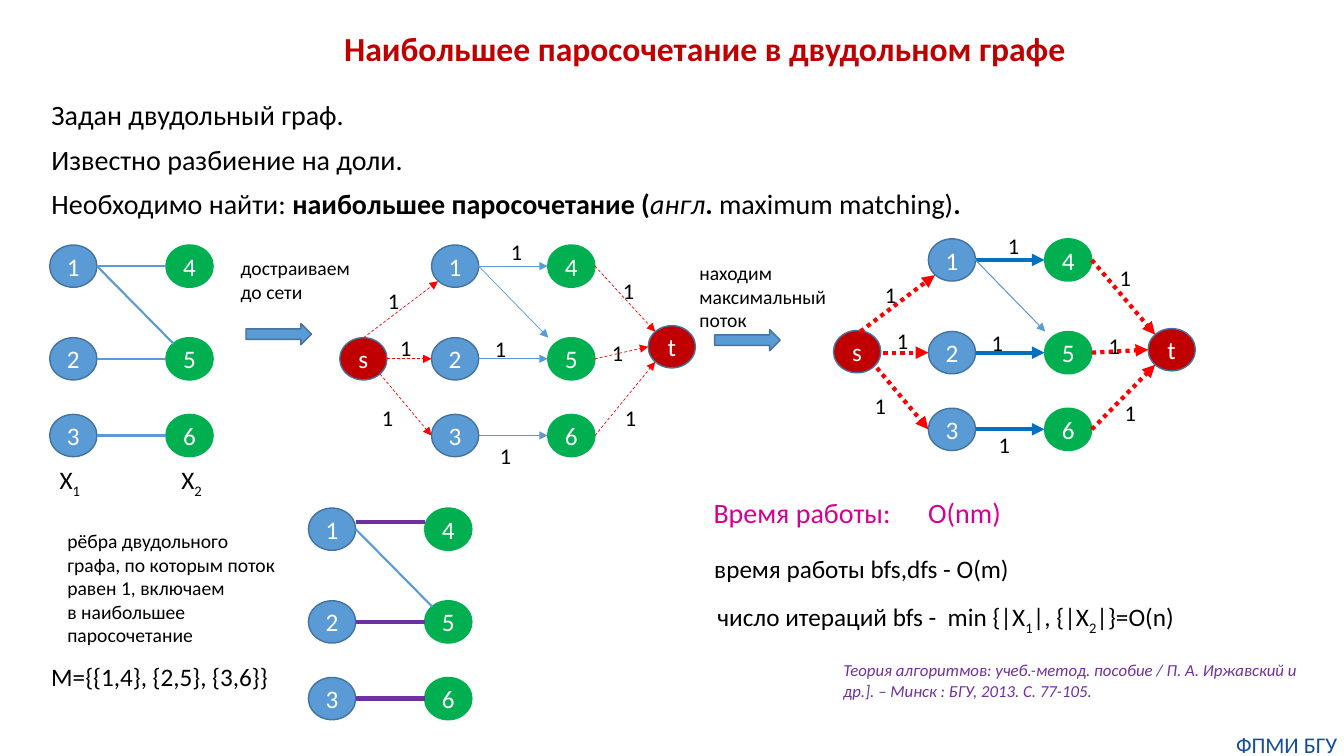
import pptx
import pptx.util
import pptx.dml.color
import pptx.enum.dml
import pptx.enum.shapes
import pptx.enum.text
import pptx.oxml
import pptx.oxml.ns

Pt = pptx.util.Pt
RGBColor = pptx.dml.color.RGBColor
Shape = pptx.enum.shapes.MSO_SHAPE
Dash = pptx.enum.dml.MSO_LINE
Align = pptx.enum.text.PP_ALIGN
Anchor = pptx.enum.text.MSO_ANCHOR
AutoSize = pptx.enum.text.MSO_AUTO_SIZE

BLACK = RGBColor(0x00, 0x00, 0x00)
WHITE = RGBColor(0xFF, 0xFF, 0xFF)
BLUE = RGBColor(0x5B, 0x9B, 0xD5)
OUTLINE = RGBColor(0x43, 0x73, 0x9E)
GREEN = RGBColor(0x00, 0xB0, 0x50)
DARK_RED = RGBColor(0xC0, 0x00, 0x00)
RED = RGBColor(0xFF, 0x00, 0x00)
FLOW_BLUE = RGBColor(0x00, 0x70, 0xC0)
PURPLE = RGBColor(0x70, 0x30, 0xA0)
PINK = RGBColor(0xD6, 0x00, 0x93)
NAVY = RGBColor(0x14, 0x4E, 0x9D)

NODE_WIDTH, NODE_HEIGHT = 33.8, 30.2
RIGHT_COLUMN = 83
ROWS = (0, 66.2, 121)
MIDDLE = NODE_HEIGHT / 2


def write(frame, text, size=18, color=BLACK, bold=False, italic=False,
          align=None, line_spacing=None, space_before=None):
    paragraphs = text
    if isinstance(text, str):
        paragraphs = [[(line, {})] for line in text.split("\n")]
    for number, spans in enumerate(paragraphs):
        para = frame.add_paragraph() if number else frame.paragraphs[0]
        para.alignment = align
        para.line_spacing = line_spacing
        para.space_before = None if space_before is None else Pt(space_before)
        for words, changes in spans:
            span = para.add_run()
            span.text = words
            span.font.name = "Calibri"
            span.font.size = Pt(size)
            span.font.color.rgb = color
            span.font.bold = changes.get("bold", bold)
            span.font.italic = changes.get("italic", italic)
            if changes.get("subscript"):
                span._r.get_or_add_rPr().set("baseline", "-25000")


class Slide:
    def __init__(self, page):
        self.page = page
        self.target = page.shapes

    def start_group(self):
        self.target = self.page.shapes.add_group_shape().shapes

    def end_group(self):
        self.target = self.page.shapes

    def placeholder(self, index, left, top, width, height, text, **style):
        box = self.page.placeholders[index]
        box.left, box.top, box.width, box.height = map(Pt, (left, top, width, height))
        box.text_frame.auto_size = AutoSize.NONE
        write(box.text_frame, text, line_spacing=0.9, **style)
        return box

    def text(self, left, top, width, height, text, wrap=False, inset=True, **style):
        box = self.target.add_textbox(Pt(left), Pt(top), Pt(width), Pt(height))
        frame = box.text_frame
        frame.word_wrap = wrap
        frame.auto_size = AutoSize.SHAPE_TO_FIT_TEXT
        if not inset:
            frame.margin_left = frame.margin_right = Pt(0)
            frame.margin_top = frame.margin_bottom = Pt(0)
        write(frame, text, **style)

    def shape(self, kind, left, top, width, height, fill, outline):
        shape = self.target.add_shape(kind, Pt(left), Pt(top), Pt(width), Pt(height))
        shape.shadow.inherit = False
        shape.fill.solid()
        shape.fill.fore_color.rgb = fill
        shape.line.color.rgb = outline
        shape.line.width = Pt(1)
        return shape

    def block_arrow(self, left, top):
        self.shape(Shape.RIGHT_ARROW, left, top, 46.8, 15.1, BLUE, OUTLINE)

    def node(self, left, top, name, fill=BLUE, outline=OUTLINE):
        circle = self.shape(Shape.OVAL, left, top, NODE_WIDTH, NODE_HEIGHT, fill, outline)
        circle.text_frame.vertical_anchor = Anchor.MIDDLE
        write(circle.text_frame, name, color=WHITE, align=Align.CENTER)

    def line(self, origin, start, end, color, width, dash=None, arrow=False):
        x, y = origin
        line = self.target.add_connector(
            pptx.enum.shapes.MSO_CONNECTOR.STRAIGHT,
            Pt(x + start[0]), Pt(y + start[1]), Pt(x + end[0]), Pt(y + end[1]))
        line.line.color.rgb = color
        line.line.width = Pt(width)
        if dash:
            line.line.dash_style = dash
        properties = line._element.spPr
        if arrow:
            tail = pptx.oxml.parse_xml(
                f'<a:tailEnd {pptx.oxml.ns.nsdecls("a")} type="triangle"/>')
            line.line._get_or_add_ln().append(tail)
        properties.append(pptx.oxml.parse_xml(
            f'<a:effectLst {pptx.oxml.ns.nsdecls("a")}/>'))

    def vertices(self, origin):
        x, y = origin
        for row, offset in enumerate(ROWS):
            self.node(x, y + offset, str(row + 1))
            self.node(x + RIGHT_COLUMN, y + offset, str(row + 4), GREEN, GREEN)

    def bipartite(self, origin, color, width, first_edge=MIDDLE):
        self.vertices(origin)
        self.line(origin, (NODE_WIDTH, MIDDLE), (88.6, 70.6), BLUE, 1.5)
        for y in (first_edge, ROWS[1] + MIDDLE, ROWS[2] + MIDDLE):
            self.line(origin, (NODE_WIDTH, y), (RIGHT_COLUMN, y), color, width)

    def network(self, origin, source, sink, labels, outer, inner, diagonal):
        x, y = origin
        self.vertices(origin)
        for name, (dx, dy) in (("s", source), ("t", sink)):
            self.node(x + dx, y + dy, name, DARK_RED)
        levels = [row + MIDDLE for row in ROWS]
        starts = ((-48.5, 66.2), (-32, levels[1]), (-36.7, 92.2))
        ends = ((4.7, 25.9), (0, levels[1]), (0, levels[2]))
        entries = ((5, 4.3), (0, MIDDLE), (5, 25.9))
        for level, start, end, (dx, dy) in zip(levels, starts, ends, entries):
            self.line(origin, start, end, arrow=True, **outer)
            self.line(origin, (RIGHT_COLUMN + NODE_WIDTH, level),
                      (sink[0] + dx, sink[1] + dy), arrow=True, **outer)
            self.line(origin, (NODE_WIDTH, level), (RIGHT_COLUMN, level),
                      arrow=True, **inner)
        self.line(origin, (29.5, 10.8), (83.5, 66.2), BLUE, diagonal, arrow=True)
        shared = [(49.7, -8.6), (-29.5, 59.8), (38.2, 61.2), (121.7, 63.4), (-38.2, 26.6)]
        for dx, dy in shared + labels:
            self.text(x + dx, y + dy, 23, 26.6, "1", size=16)


def main():
    deck = pptx.Presentation()
    deck.slide_width, deck.slide_height = Pt(960), Pt(540)
    slide = Slide(deck.slides.add_slide(deck.slide_layouts[1]))

    title = slide.placeholder(0, 77, 6.5, 853, 59, "Наибольшее паросочетание в двудольном графе",
                              size=24, color=DARK_RED, bold=True, align=Align.CENTER)
    title.text_frame.vertical_anchor = Anchor.MIDDLE
    task = [
        [("Задан двудольный граф.", {})],
        [("Известно разбиение на доли.", {})],
        [("Необходимо найти: ", {}), ("наибольшее паросочетание (", {"bold": True}),
         ("англ", {"italic": True}), (". ", {"bold": True}),
         ("maximum matching)", {}), (".", {"bold": True})],
    ]
    body = slide.placeholder(1, 29.5, 69, 681, 89.3, task, size=20, space_before=10)
    for para in body.text_frame.paragraphs:
        properties = para._p.get_or_add_pPr()
        properties.set("marL", "0")
        properties.set("indent", "0")
        properties.append(pptx.oxml.parse_xml(
            f'<a:buNone {pptx.oxml.ns.nsdecls("a")}/>'))

    slide.block_arrow(175.7, 231.1)
    slide.start_group()
    slide.network((308.2, 175), (-65.5, 66.2), (154.8, 57.6),
                  [(129.6, 19.4), (-42.5, 110.2), (41.8, 137.5), (131, 110.2)],
                  dict(color=RED, width=0.5, dash=Dash.DASH),
                  dict(color=BLUE, width=0.5), 0.5)
    slide.end_group()
    slide.block_arrow(510.5, 235.4)
    slide.start_group()
    slide.network((663.1, 170.6), (-67.7, 65.5), (157, 64.1),
                  [(129.6, 14.4), (-45.4, 105.8), (43.2, 133.9), (133.2, 110.9)],
                  dict(color=RED, width=3, dash=Dash.ROUND_DOT),
                  dict(color=FLOW_BLUE, width=3), 0.75)
    slide.start_group()
    slide.bipartite((220.3, 362.9), PURPLE, 3, first_edge=10)
    slide.start_group()
    slide.bipartite((35.5, 175), BLUE, 1.5)
    for left, number in ((35.5, "1"), (122.4, "2")):
        slide.text(left, 328.3, 30.2, 29, [[("X", {}), (number, {"subscript": True})]])
    slide.end_group()

    slide.text(29.5, 468.7, 177, 29, "M={{1,4}, {2,5}, {3,6}}")
    iterations = [[("число итераций bfs -  min {|X", {}), ("1", {"subscript": True}),
                   ("|, {|X", {}), ("2", {"subscript": True}), ("|}=О(n)", {})]]
    slide.text(505.4, 426.2, 343.4, 29, iterations)
    slide.text(502.6, 350.6, 151.2, 31.7, "Время работы:", wrap=True, size=20, color=PINK)
    slide.text(499, 391.7, 231.8, 29, " время работы bfs,dfs - О(m)")
    slide.text(655.9, 350.6, 68.4, 31.7, "О(nm)", size=20, color=PINK)
    slide.text(595.4, 468, 350, 36,
               "Теория алгоритмов: учеб.-метод. пособие / П. А. Иржавский и др.]. "
               "– Минск : БГУ, 2013. С. 77-105.",
               wrap=True, size=12, color=PURPLE, italic=True)
    slide.text(164.9, 179.3, 93.6, 41, "достраиваем\nдо сети", size=14)
    slide.text(492.5, 182.9, 105.8, 58.3, "находим\nмаксимальный\nпоток", size=14)
    slide.text(41, 374.4, 164.2, 92.2,
               "рёбра двудольного\nграфа, по которым поток\nравен 1, включаем\n"
               "в наибольшее\nпаросочетание", size=14)
    slide.text(878.4, 522, 81.4, 19.4, "ФПМИ БГУ", wrap=True, inset=False,
               size=16, color=NAVY, align=Align.CENTER)
    deck.save("out.pptx")


if __name__ == "__main__":
    main()
